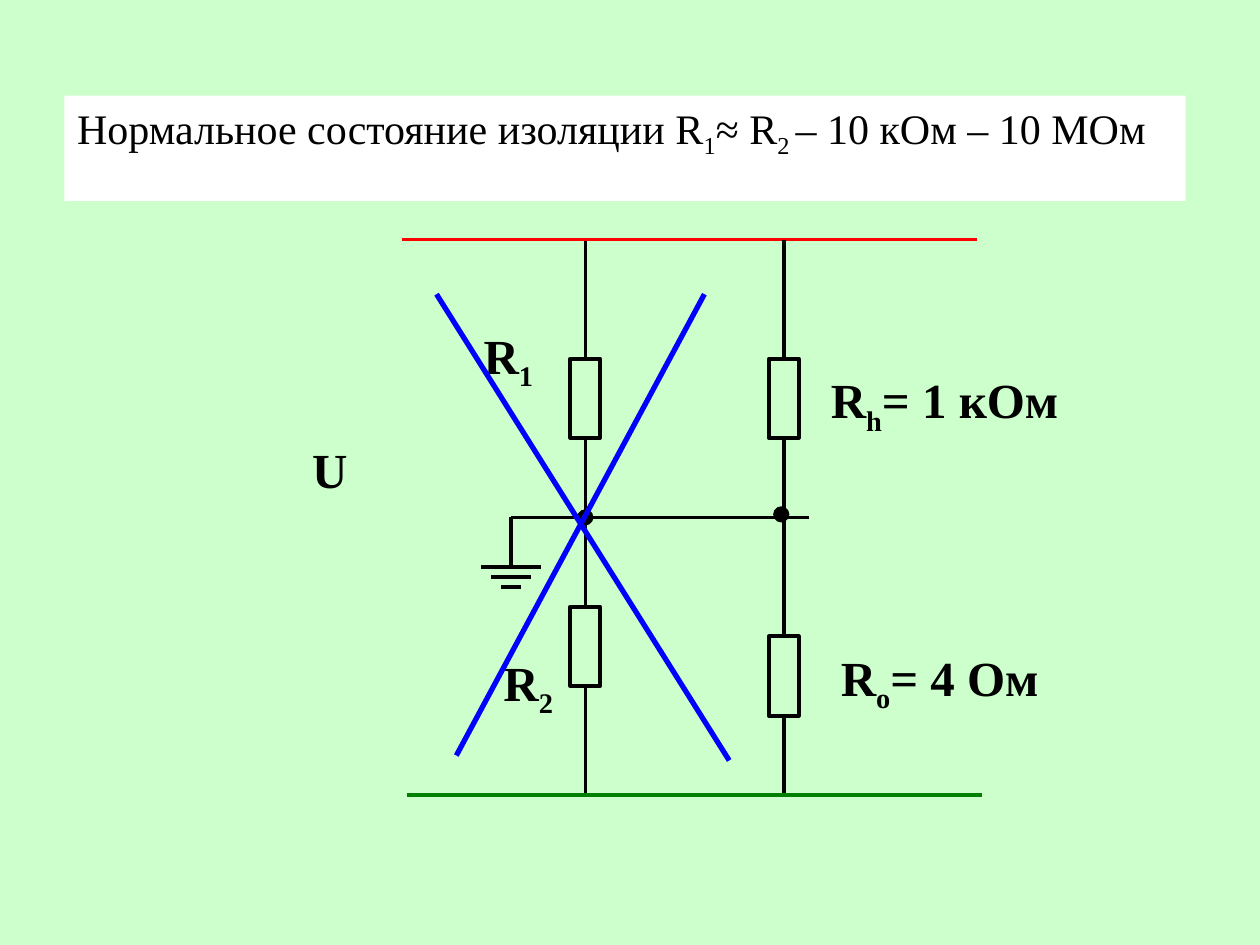
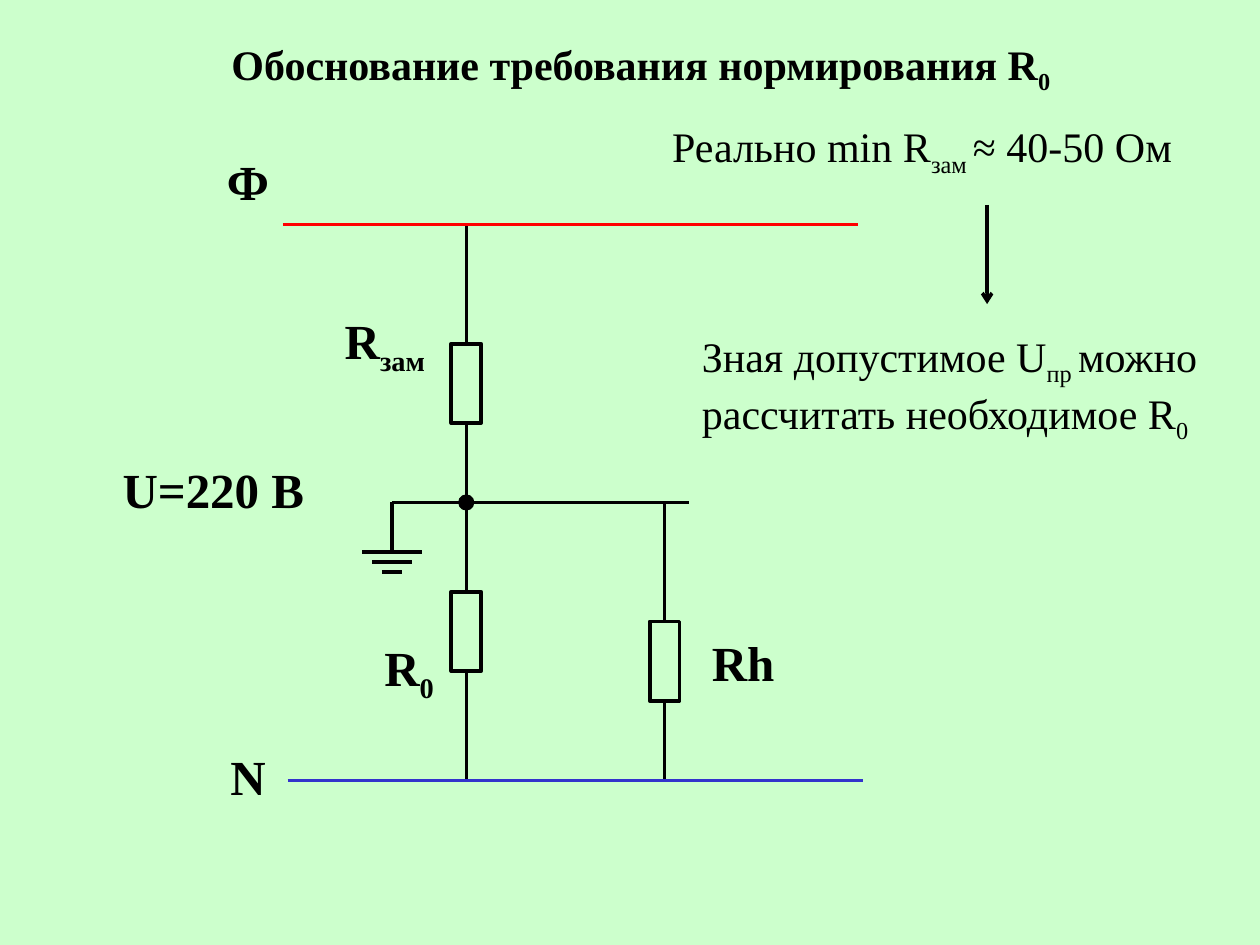
"""Two slides on insulation and grounding resistance, each with a circuit."""
from dataclasses import dataclass

from lxml import etree
from pptx import Presentation
from pptx.dml.color import RGBColor
from pptx.enum.shapes import MSO_CONNECTOR, MSO_SHAPE
from pptx.enum.text import MSO_ANCHOR, MSO_AUTO_SIZE, PP_ALIGN
from pptx.oxml.ns import qn
from pptx.util import Cm, Pt

STRAIGHT = MSO_CONNECTOR.STRAIGHT
RECT, OVAL = MSO_SHAPE.RECTANGLE, MSO_SHAPE.OVAL
TOP, FIT = MSO_ANCHOR.TOP, MSO_AUTO_SIZE.SHAPE_TO_FIT_TEXT
LEFT, CENTER = PP_ALIGN.LEFT, PP_ALIGN.CENTER
TITLE_ONLY = 5


@dataclass(frozen=True)
class Theme:
    """Colours, font and sizes shared by the slides."""
    back: RGBColor = RGBColor(0xCC, 0xFF, 0xCC)
    white: RGBColor = RGBColor(0xFF, 0xFF, 0xFF)
    ink: RGBColor = RGBColor(0, 0, 0)
    phase: RGBColor = RGBColor(0xFF, 0, 0)
    green: RGBColor = RGBColor(0, 0x80, 0)
    zero: RGBColor = RGBColor(0x33, 0x33, 0xCC)
    cross: RGBColor = RGBColor(0, 0, 0xFF)
    font: str = "Times New Roman"
    label: int = 28
    body: int = 24
    thin: float = 0.75
    wire: float = 2
    frame: float = 2.25
    strike: float = 3


THEME = Theme()

WIDTH, RAIL = 11.6, 11.2
FIRST, SECOND = 3.7, 7.7
MID = 5.6
BODY_W, BODY_H = 0.6, 1.6
UPPER, LOWER, LOAD = 2.4, 7.4, 8.0
EARTH = 2.2


def write(frame, text, size, bold=False, align=LEFT):
    """Fill a frame; every second part between bars is a subscript."""
    frame.word_wrap = True
    frame.auto_size = FIT
    frame.vertical_anchor = TOP
    para = frame.paragraphs[0]
    para.alignment = align
    for i, part in enumerate(text.split("|")):
        if not part:
            continue
        run = para.add_run()
        run.text = part
        run.font.name = THEME.font
        run.font.size = Pt(size)
        run.font.bold = bold
        run.font.color.rgb = THEME.ink
        if i % 2:
            run.font._element.set("baseline", "-25000")


def put_title(slide, box, text, bold=False, align=LEFT):
    """Place and format the title and return it."""
    title = slide.shapes.title
    title.left, title.top, title.width, title.height = map(Cm, box)
    write(title.text_frame, text, THEME.body, bold, align)
    return title


def add_text(slide, box, text, size=THEME.label, bold=True, align=LEFT):
    """Add a text box."""
    note = slide.shapes.add_textbox(*map(Cm, box))
    write(note.text_frame, text, size, bold, align)


class Circuit:
    """A diagram drawn from the left end of its upper rail."""

    def __init__(self, slide, left, top):
        """Keep the slide and the corner."""
        self.slide, self.left, self.top = slide, left, top

    def line(self, x1, y1, x2, y2, color=THEME.ink, width=THEME.wire):
        """Draw a straight line."""
        ends = (self.left + x1, self.top + y1, self.left + x2, self.top + y2)
        line = self.slide.shapes.add_connector(STRAIGHT, *map(Cm, ends))
        line.line.color.rgb = color
        line.line.width = Pt(width)
        etree.SubElement(line._element.spPr, qn("a:effectLst"))
        return line

    def shape(self, kind, x, y, width, height, fill, edge):
        """Draw a filled shape with a black edge."""
        box = (self.left + x, self.top + y, width, height)
        shape = self.slide.shapes.add_shape(kind, *map(Cm, box))
        shape.shadow.inherit = False
        shape.fill.solid()
        shape.fill.fore_color.rgb = fill
        shape.line.color.rgb = THEME.ink
        shape.line.width = Pt(edge)
        return shape

    def branch(self, x, start, top, end):
        """Draw a resistor with a wire above and below."""
        part = self.shape(RECT, x - BODY_W / 2, top, BODY_W, BODY_H,
                          THEME.back, THEME.frame)
        self.line(x, start, x, top).end_connect(part, 0)
        self.line(x, top + BODY_H, x, end).begin_connect(part, 2)

    def dot(self, x, y, size=0.3):
        """Mark a joint."""
        self.shape(OVAL, x - size / 2, y - size / 2, size, size,
                   THEME.ink, THEME.thin)

    def label(self, x, y, width, text, align=LEFT):
        """Write a bold label."""
        box = (self.left + x, self.top + y, width, 1.6)
        add_text(self.slide, box, text, align=align)

    def ground(self):
        """Draw the earth sign under the middle wire."""
        self.line(EARTH, MID, EARTH, MID + 1)
        for i, half in enumerate((0.6, 0.4, 0.2)):
            y = MID + 1 + 0.2 * i
            self.line(EARTH - half, y, EARTH + half, y)

    def draw(self, lower):
        """Draw the parts common to both slides."""
        self.branch(FIRST, 0, UPPER, MID)
        self.branch(FIRST, MID, LOWER, RAIL)
        self.branch(SECOND, MID, LOAD, RAIL)
        self.line(0, 0, WIDTH, 0, THEME.phase)
        self.line(0.1, RAIL, WIDTH + 0.1, RAIL, lower)
        self.line(EARTH, MID, 8.2, MID)
        self.ground()
        self.dot(FIRST, MID)


def add_normal(slide):
    """Build the slide on the normal state of insulation."""
    title = put_title(
        slide, (1.3, 1.93, 22.6, 1.42),
        "Нормальное состояние изоляции R|1|≈ R|2 |– 10 кОм – 10 МОм")
    title.fill.solid()
    title.fill.fore_color.rgb = THEME.white
    net = Circuit(slide, 8.1, 4.83)
    net.draw(THEME.green)
    net.branch(SECOND, 0, UPPER, MID)
    net.dot(7.65, 5.54)
    net.label(-2.3, 3.9, 1.7, "U", CENTER)
    for x, y, width, text in ((1.4, 1.6, 2, "R|1"), (1.8, 8.2, 2, "R|2"),
                              (8.4, 2.5, 6, "R|h|= 1 кОм"),
                              (8.6, 8.1, 6, "R|о|= 4 Ом")):
        net.label(x, y, width, text)
    for ends in ((0.7, 1.1, 6.6, 10.5), (6.1, 1.1, 1.1, 10.4)):
        net.line(*ends, THEME.cross, THEME.strike)


def add_proof(slide):
    """Build the slide on the required grounding resistance."""
    put_title(slide, (1.07, 0.64, 23.7, 1.42),
              "Обоснование требования нормирования R|0", True, CENTER)
    net = Circuit(slide, 5.7, 4.53)
    net.draw(THEME.zero)
    for x, y, text in ((-3.7, 4.6, "U=220 В"), (-3, -1.6, "Ф"),
                       (-3, 10.4, "N")):
        net.label(x, y, 4.6, text, CENTER)
    for x, y, width, text in ((1, 1.6, 2.4, "R|зам"), (1.8, 8.2, 2, "R|0"),
                              (8.4, 8.1, 6, "Rh")):
        net.label(x, y, width, text)
    add_text(slide, (13.3, 2.31, 10.8, 1.42), "Реально min R|зам |≈ 40-50 Ом",
             THEME.body, False)
    add_text(slide, (13.9, 6.53, 10.8, 2.57),
             "Зная допустимое U|пр |можно рассчитать необходимое R|0",
             THEME.body, False)
    arrow = net.line(14.2, -0.4, 14.2, 1.6)
    tip = etree.SubElement(arrow.line._get_or_add_ln(), qn("a:tailEnd"))
    tip.set("type", "arrow")


def main():
    """Build and save the slides."""
    deck = Presentation()
    deck.slide_width, deck.slide_height = Cm(25.4), Cm(19.05)
    fill = deck.slide_master.background.fill
    fill.solid()
    fill.fore_color.rgb = THEME.back
    for build in (add_normal, add_proof):
        build(deck.slides.add_slide(deck.slide_layouts[TITLE_ONLY]))
    deck.save("out.pptx")


if __name__ == "__main__":
    main()
